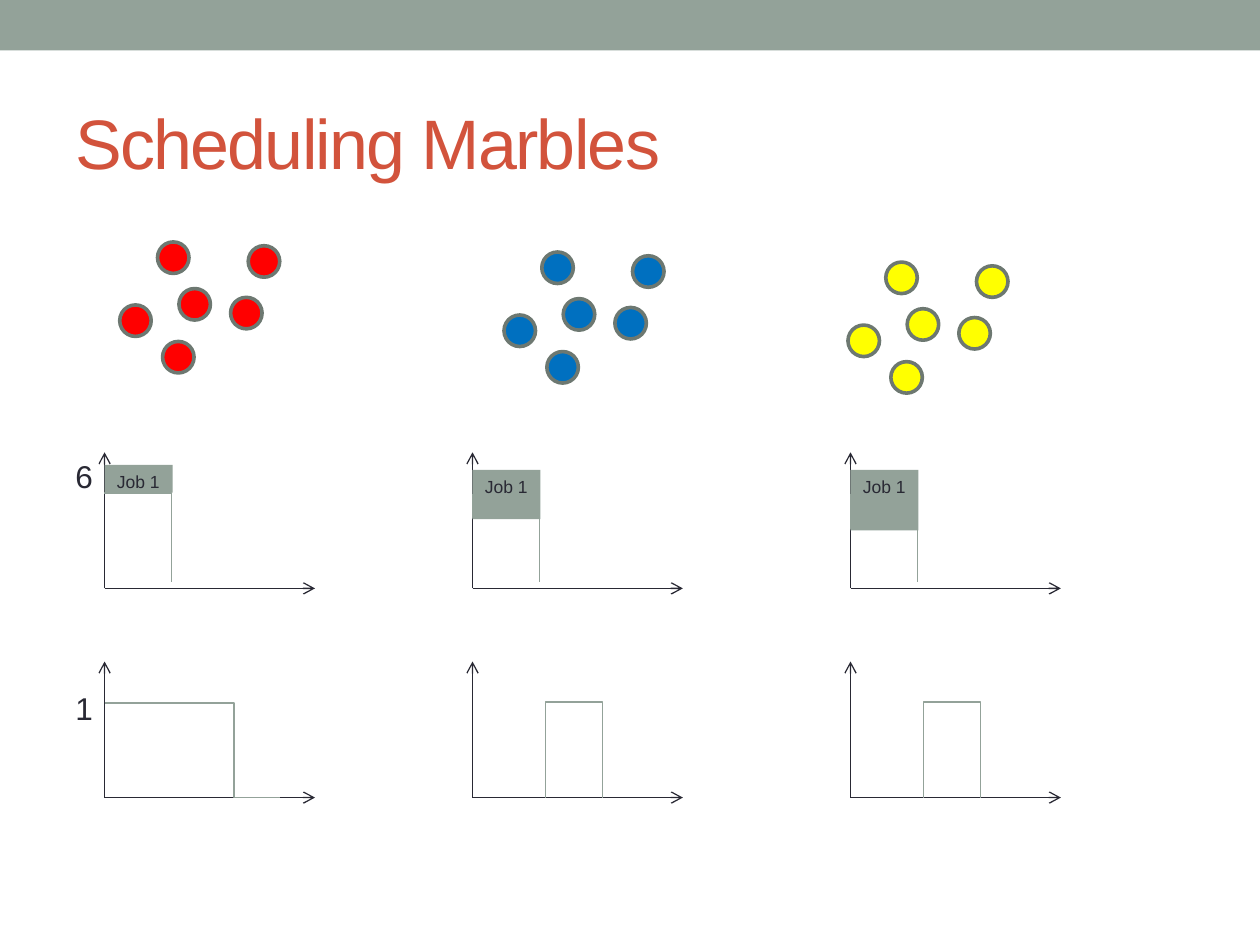
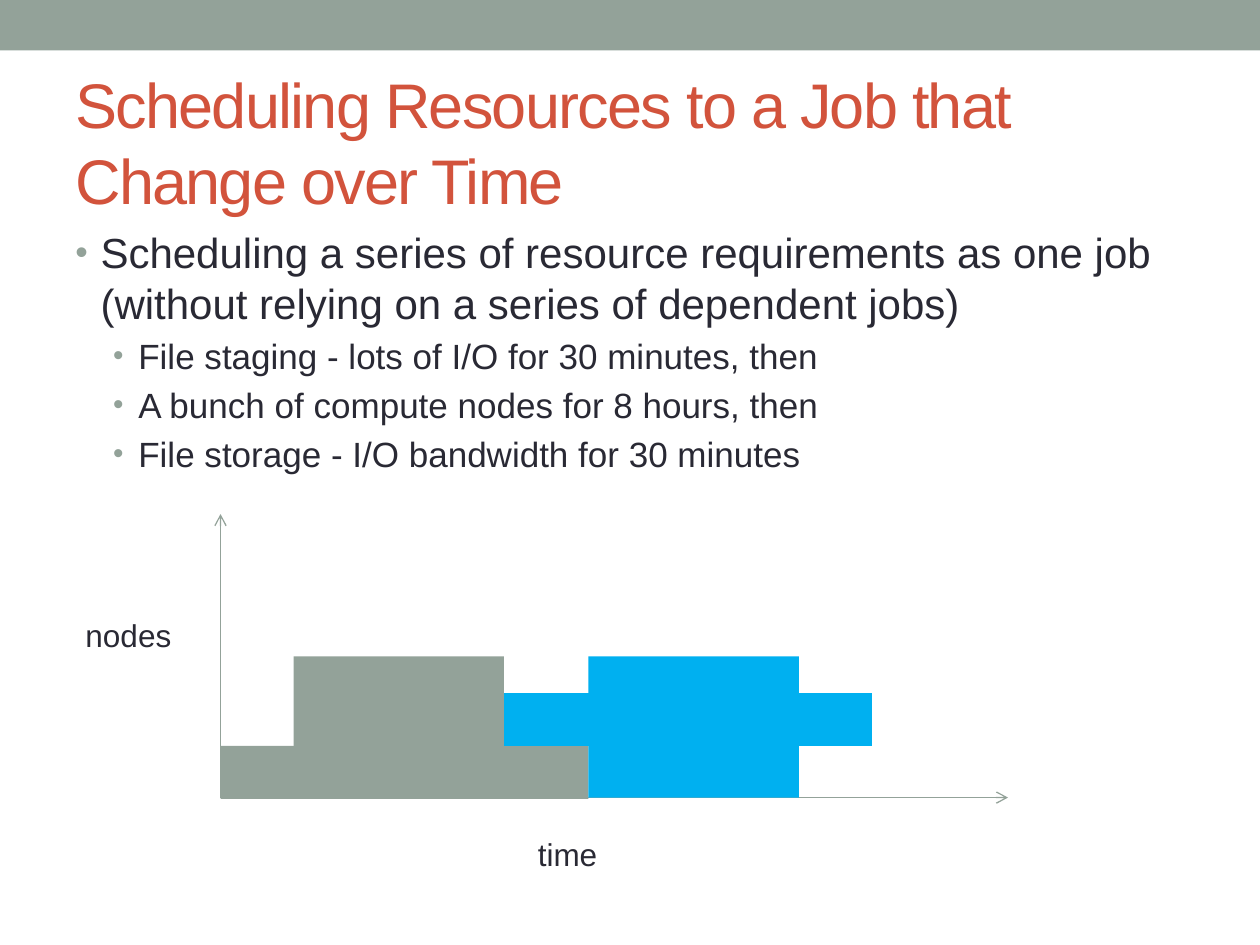
from lxml.etree import SubElement
from pptx import Presentation
from pptx.dml.color import RGBColor
from pptx.enum.shapes import MSO_CONNECTOR, MSO_SHAPE
from pptx.enum.text import MSO_ANCHOR
from pptx.oxml.ns import qn
from pptx.util import Inches, Pt

FONT = "Arial"
SAGE, INK, RUST, RIM, SKY = "93A299", "292934", "D2533C", "6D7871", "00B0F0"


def paint(part, color):
    """Give a fill or line a solid colour."""
    part.fill.solid() if hasattr(part, "fill") else part.solid()
    fore = part.fill.fore_color if hasattr(part, "fill") else part.fore_color
    fore.rgb = RGBColor.from_string(color)


class Deck:
    """Holds the presentation, its style and the current slide."""

    def __init__(self):
        self.prs = Presentation()
        self.prs.slide_width, self.prs.slide_height = Inches(10), Inches(7.5)

    def start(self, title, size):
        """Add a slide with the top band and a title."""
        slide = self.prs.slides.add_slide(self.prs.slide_layouts[6])
        self.shapes = slide.shapes
        self.block(0, 0, 10, 0.4, SAGE)
        frame = self.label(title, 0.5, 0.58, 9, 1.08, size, RUST)
        frame.vertical_anchor = MSO_ANCHOR.MIDDLE
        run = frame.paragraphs[0].runs[0]
        run.font._element.set("spc", "-100")

    def style(self, para, size, color=INK):
        para.font.name, para.font.size = FONT, Pt(size)
        para.font.color.rgb = RGBColor.from_string(color)

    def label(self, text, x, y, w, h=0.4, size=18, color=INK):
        box = self.shapes.add_textbox(Inches(x), Inches(y), Inches(w), Inches(h))
        frame = box.text_frame
        frame.word_wrap = True
        frame.text = text
        self.style(frame.paragraphs[0], size, color)
        return frame

    def block(self, x, y, w, h, color, kind=MSO_SHAPE.RECTANGLE):
        shape = self.shapes.add_shape(kind, Inches(x), Inches(y), Inches(w), Inches(h))
        shape.shadow.inherit = False
        paint(shape.fill, color)
        shape.line.fill.background()
        return shape

    def marble(self, x, y, color):
        ball = self.block(x, y, 0.25, 0.25, color, MSO_SHAPE.OVAL)
        paint(ball.line, RIM)
        ball.line.width = Pt(2.08)

    def job(self, x, y, h):
        frame = self.block(x, y, 0.54, h, SAGE).text_frame
        frame.word_wrap = False
        frame.vertical_anchor = MSO_ANCHOR.TOP
        frame.text = "Job 1"
        self.style(frame.paragraphs[0], 10)

    def link(self, kind, x1, y1, x2, y2, color):
        line = self.shapes.add_connector(
            kind, Inches(x1), Inches(y1), Inches(x2), Inches(y2))
        paint(line.line, color)
        line.line.width = Pt(0.75)
        SubElement(line._element.spPr, qn("a:effectLst"))
        return line

    def axes(self, x, y, w, h, color=INK):
        """Draw two arrows from the corner (x, y)."""
        for x2, y2 in ((x + w, y), (x, y - h)):
            line = self.link(MSO_CONNECTOR.STRAIGHT, x, y, x2, y2, color)
            SubElement(line.line._get_or_add_ln(), qn("a:tailEnd"), type="arrow")

    def elbow(self, x1, y1, x2, y2, bend, down=True):
        """Draw a bent line; bend is the share of the way at which it turns.

        A line that sets out downwards is a level one, turned and flipped.
        """
        w, h = x2 - x1, y2 - y1
        if down:
            x1, y1 = x1 + (w - h) / 2, y1 + (h - w) / 2
            w, h = h, w
        line = self.link(MSO_CONNECTOR.ELBOW, x1, y1, x1 + w, y1 + h, SAGE)
        props = line._element.spPr
        if down:
            frame = props.find(qn("a:xfrm"))
            frame.set("rot", str(270 * 60000))
            frame.set("flipH", "1")
        guides = props.find(qn("a:prstGeom")).find(qn("a:avLst"))
        SubElement(guides, qn("a:gd"), name="adj1", fmla=f"val {round(bend * 100000)}")

    def points(self, items, x, y, w, h):
        """Write bulleted (level, text) items."""
        frame = self.label("", x, y, w, h)
        for i, (level, text) in enumerate(items):
            para = frame.add_paragraph() if i else frame.paragraphs[0]
            para.text, para.level = text, level
            size = (24, 20)[level]
            self.style(para, size)
            para.space_before = Pt(size * 0.2)
            props = para._p.get_or_add_pPr()
            props.set("marL", str(Inches((0.2, 0.5)[level])))
            props.set("indent", str(Inches(-0.2)))
            marks = [("buClr", {}), ("buSzPct", {"val": "85000"}),
                     ("buFont", {"typeface": FONT}), ("buChar", {"char": "•"})]
            spot = props.index(props.find(qn("a:spcBef"))) + 1
            for n, (tag, attrs) in enumerate(marks):
                mark = SubElement(props, qn("a:" + tag), attrs)
                if tag == "buClr":
                    SubElement(mark, qn("a:srgbClr"), val=SAGE)
                props.insert(spot + n, mark)


def marbles(deck):
    deck.start("Scheduling Marbles", 40)
    spots = [(0.3, 0), (0.47, 0.37), (0.88, 0.44), (1.02, 0.03), (0.34, 0.79), (0, 0.5)]
    piles = [(0.95, 1.92, "FF0000"), (4, 2, "0070C0"), (6.73, 2.08, "FFFF00")]
    for x, y, color in piles:
        for dx, dy in spots:
            deck.marble(x + dx, y + dy, color)

    # Each column: axis place, bend of the job's outline, job top and height
    columns = [(0.83, -0.01, 3.69, 0.22), (3.75, 0.27, 3.73, 0.39), (6.75, 0.39, 3.73, 0.48)]
    for x, bend, top, height in columns:
        for base in (4.67, 6.33):
            deck.axes(x, base, 1.67, 1.08)
        deck.elbow(x, 3.92, x + 0.53, 4.62, bend)
        deck.job(x, top, height)

    deck.elbow(0.83, 5.58, 2.22, 6.33, 0.74, down=False)
    for x in (4.33, 7.33):
        deck.elbow(x, 5.58, x + 0.45, 6.33, -0.01)
        deck.elbow(x, 5.58, x, 6.33, 0.5)
    deck.label("6", 0.5, 3.58, 0.25)
    deck.label("1", 0.5, 5.42, 0.25)


def resources(deck):
    deck.start("Scheduling Resources to a Job that Change over Time", 36)
    deck.points([
        (0, "Scheduling a series of resource requirements as one job "
            "(without relying on a series of dependent jobs)"),
        (1, "File staging - lots of I/O for 30 minutes, then"),
        (1, "A bunch of compute nodes for 8 hours, then"),
        (1, "File storage - I/O bandwidth for 30 minutes"),
    ], 0.5, 1.75, 9, 5.33)
    deck.axes(1.75, 6.33, 6.25, 2.25, SAGE)
    long, tall = (2.92, 0.42), (1.67, 0.71)
    for x, y, size, color in [
        (1.75, 5.92, long, SAGE), (2.33, 5.21, tall, SAGE), (4, 5.5, long, SKY),
        (4.67, 5.62, tall, SKY), (4.67, 5.21, tall, SKY),
    ]:
        deck.block(x, y, *size, color)
    deck.label("time", 4.17, 6.58, 1.33)
    deck.label("nodes", 0.58, 4.84, 0.92)


def main():
    deck = Deck()
    marbles(deck)
    resources(deck)
    deck.prs.save("out.pptx")


if __name__ == "__main__":
    main()
